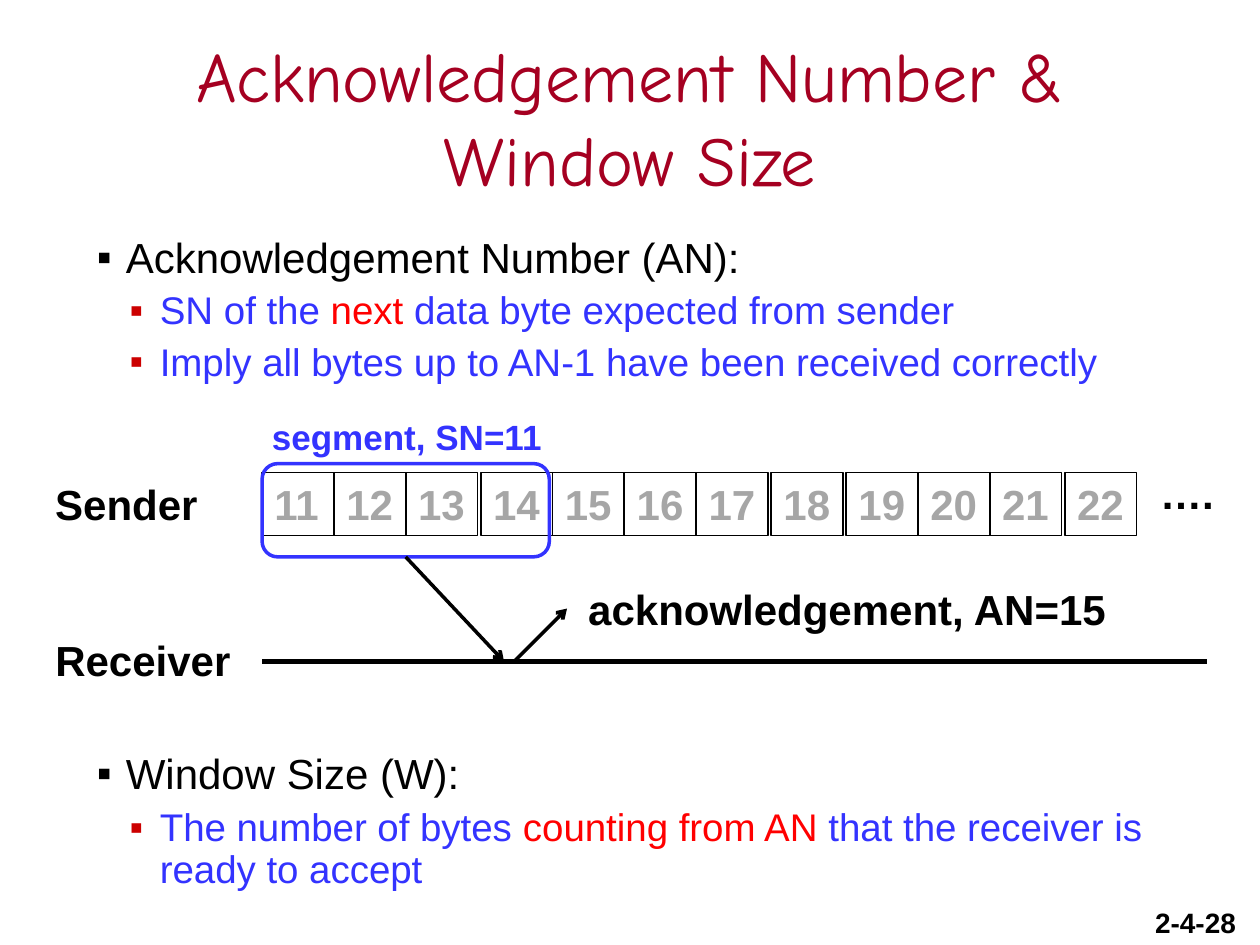
from dataclasses import dataclass

from lxml.etree import SubElement
from pptx import Presentation
from pptx.dml.color import RGBColor as Color
from pptx.enum.shapes import MSO_CONNECTOR as Connector, MSO_SHAPE as Shape
from pptx.enum.text import MSO_ANCHOR as Anchor, MSO_AUTO_SIZE as AutoSize, PP_ALIGN as Align
from pptx.oxml.ns import qn
from pptx.util import Inches, Pt


@dataclass(frozen=True)
class Theme:
    """Colours, fonts and type sizes of the slide."""
    ink: str = "000000"
    title: str = "A50021"
    accent: str = "3333FF"
    highlight: str = "FF0000"
    marker: str = "CC0000"
    muted: str = "A6A6A6"
    body_font: str = "Arial"
    title_font: str = "Comic Neue"
    title_size: int = 40
    large: int = 24
    medium: int = 22
    small: int = 20
    tiny: int = 16


class SlideBuilder:
    """Draws styled elements on a slide measured in 100 columns and 75 rows."""

    def __init__(self, presentation, theme):
        self.theme = theme
        self.slide = presentation.slides.add_slide(presentation.slide_layouts[6])
        self.column = presentation.slide_width / 100
        self.row = presentation.slide_height / 75

    def place(self, *lengths):
        """Turn alternating columns and rows into slide units."""
        units = (self.column, self.row) * 2
        return [round(length * unit) for length, unit in zip(lengths, units)]

    def add_run(self, paragraph, text, size, color, bold=False, font=None):
        """Append one styled run."""
        run = paragraph.add_run()
        run.text = text
        run.font.name = font or self.theme.body_font
        run.font.size = Pt(size)
        run.font.bold = bold
        run.font.color.rgb = Color.from_string(color)

    def outline(self, shape, color, width):
        """Give a shape a plain outline and no fill."""
        shape.shadow.inherit = False
        shape.fill.background()
        shape.line.color.rgb = Color.from_string(color)
        shape.line.width = Pt(width)

    def title(self, area, text):
        """Add the centred title."""
        frame = self.slide.shapes.add_textbox(*self.place(*area)).text_frame
        frame.word_wrap = True
        frame.vertical_anchor = Anchor.MIDDLE
        frame.paragraphs[0].alignment = Align.CENTER
        self.add_run(frame.paragraphs[0], text, self.theme.title_size,
                     self.theme.title, font=self.theme.title_font)

    def label(self, area, text, size=None, color=None, wrap=False):
        """Add a bold single-line label."""
        frame = self.slide.shapes.add_textbox(*self.place(*area)).text_frame
        frame.word_wrap = wrap
        frame.auto_size = AutoSize.SHAPE_TO_FIT_TEXT
        self.add_run(frame.paragraphs[0], text, size or self.theme.large,
                     color or self.theme.ink, bold=True)

    def byte_cell(self, area, text):
        """Add one numbered byte of the stream."""
        shape = self.slide.shapes.add_shape(Shape.RECTANGLE, *self.place(*area))
        self.outline(shape, self.theme.ink, 1)
        frame = shape.text_frame
        frame.word_wrap = False
        frame.auto_size = AutoSize.SHAPE_TO_FIT_TEXT
        frame.vertical_anchor = Anchor.TOP
        frame.paragraphs[0].alignment = Align.LEFT
        self.add_run(frame.paragraphs[0], text, self.theme.large, self.theme.muted, bold=True)

    def segment_frame(self, area):
        """Add the rounded frame around a segment."""
        shape = self.slide.shapes.add_shape(Shape.ROUNDED_RECTANGLE, *self.place(*area))
        self.outline(shape, self.theme.accent, 2)
        return shape

    def line(self, start, end, width=2, arrow=True, source=None):
        """Add a straight line, optionally from the bottom of a source shape."""
        connector = self.slide.shapes.add_connector(
            Connector.STRAIGHT, *self.place(*start, *end))
        if source is not None:
            connector.begin_connect(source, 2)
        connector.line.color.rgb = Color.from_string(self.theme.ink)
        connector.line.width = Pt(width)
        if arrow:
            SubElement(connector.line._get_or_add_ln(), qn("a:tailEnd"), type="arrow")
        SubElement(connector._element.spPr, qn("a:effectLst"))

    def bullet(self, paragraph, color, margin, hanging):
        """Give a paragraph a square bullet and a hanging indent."""
        properties = paragraph._p.get_or_add_pPr()
        properties.set("marL", str(Inches(margin)))
        properties.set("indent", str(-Inches(hanging)))
        bullet_color = SubElement(properties, qn("a:buClr"))
        SubElement(bullet_color, qn("a:srgbClr"), val=color)
        SubElement(properties, qn("a:buFont"), typeface=self.theme.body_font)
        SubElement(properties, qn("a:buChar"), char="▪")

    def bullets(self, area, heading, points):
        """Add a heading bullet with points whose odd parts are highlighted."""
        theme = self.theme
        frame = self.slide.shapes.add_textbox(*self.place(*area)).text_frame
        frame.word_wrap = True
        paragraph = frame.paragraphs[0]
        self.bullet(paragraph, theme.ink, 0.23, 0.23)
        paragraph.line_spacing = 0.9
        self.add_run(paragraph, heading, theme.large, theme.ink)
        for parts in points:
            paragraph = frame.add_paragraph()
            self.bullet(paragraph, theme.marker, 0.5, 0.24)
            paragraph.level = 1
            paragraph.line_spacing = 0.9
            paragraph.space_before = Pt(5.5)
            for index, part in enumerate(parts):
                color = theme.highlight if index % 2 else theme.accent
                self.add_run(paragraph, part, theme.medium, color)


def main():
    """Build and save the slide."""
    presentation = Presentation()
    presentation.slide_width, presentation.slide_height = Inches(10), Inches(7.5)
    theme = Theme()
    builder = SlideBuilder(presentation, theme)

    builder.label((90.7, 71.4, 9.3, 3.6), "2-4-28", theme.tiny, wrap=True)
    builder.title((5, 3, 90, 12.5), "Acknowledgement Number & Window Size")
    builder.bullets((6.7, 18.3, 89.2, 13.2), "Acknowledgement Number (AN):", [
        ("SN of the ", "next", " data byte expected from sender"),
        ("Imply all bytes up to AN-1 have been received correctly",),
    ])
    builder.bullets((6.7, 59.3, 89.2, 12), "Window Size (W):", [
        ("The number of bytes ", "counting from AN ", "that the receiver is ready to accept"),
    ])

    stream_left, cell_width, cell_gap = 20.8, 5.7, 0.25
    gaps_before = (14, 18, 19, 22)
    left = stream_left
    for number in range(11, 23):
        left += cell_gap * (number in gaps_before)
        builder.byte_cell((left, 37.5, cell_width, 5), str(number))
        left += cell_width

    builder.label((91.1, 36.6, 7, 5), "….", wrap=True)
    builder.label((3.4, 37.5, 13.3, 5), "Sender")
    segment = builder.segment_frame((stream_left, 36.8, 4 * cell_width, 7.4))
    builder.label((20.6, 32.5, 23.6, 4.4), "segment, SN=11", theme.small, theme.accent)
    builder.label((3.4, 49.9, 15.9, 5), "Receiver")

    receiver_row = 52.5
    builder.line((stream_left, receiver_row), (95.8, receiver_row), width=3, arrow=False)
    builder.line((32.2, 44.2), (40, receiver_row), source=segment)
    builder.line((40.8, receiver_row), (45, 48.3))
    builder.label((45.7, 45.8, 43.2, 5), "acknowledgement, AN=15")

    presentation.save("out.pptx")


if __name__ == "__main__":
    main()
